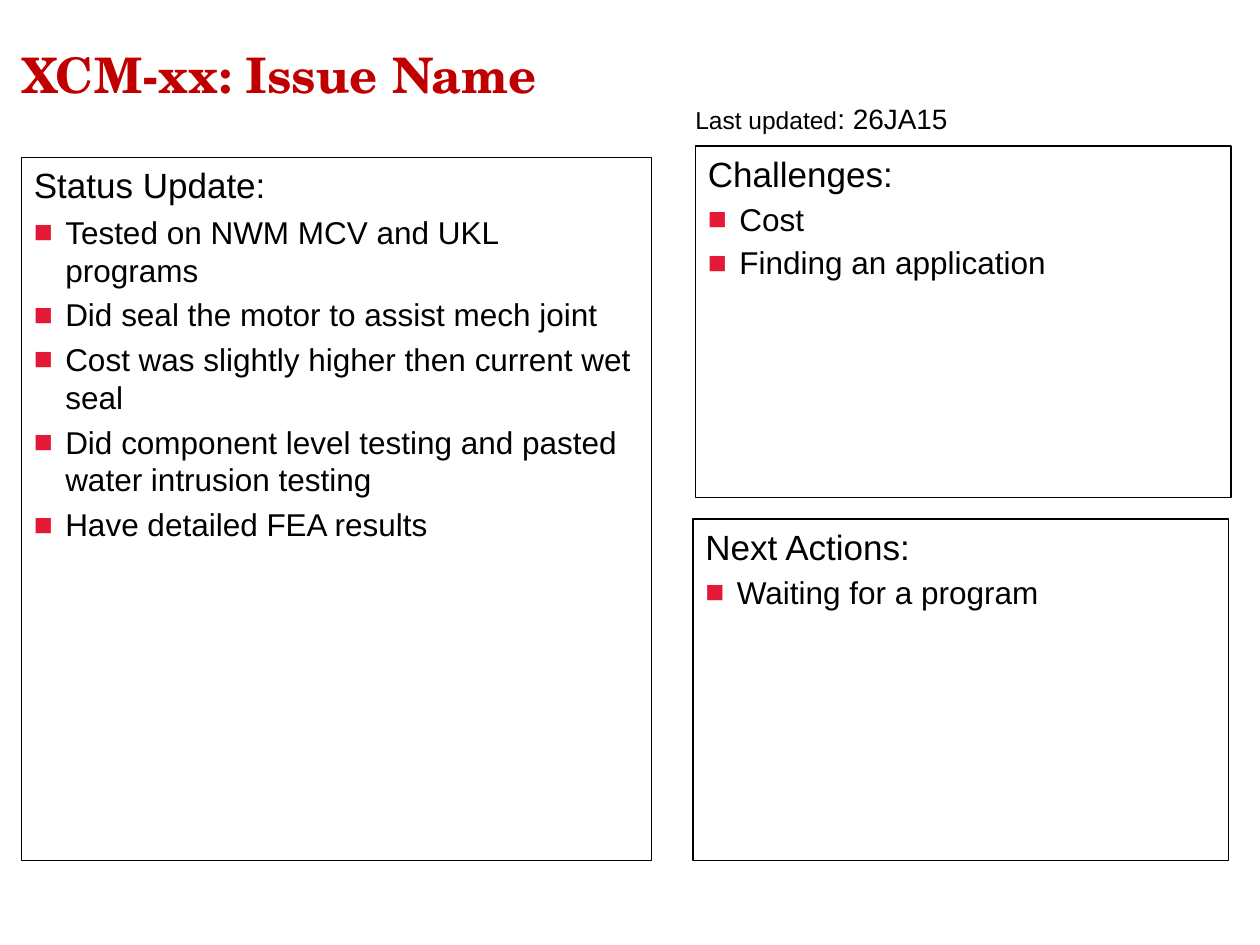
from dataclasses import dataclass

from lxml import etree
from pptx import Presentation
from pptx.dml.color import RGBColor
from pptx.enum.shapes import MSO_SHAPE
from pptx.enum.text import MSO_ANCHOR, PP_ALIGN
from pptx.oxml.ns import qn
from pptx.util import Inches, Pt

BLACK = "000000"
TITLE_RED = "C00000"
BULLET_RED = "E31937"
BULLET_INDENT = Inches(0.25)


@dataclass
class Panel:
    left: float
    top: float
    width: float
    height: float
    heading: str
    bullets: list[str]
    space_before: float


def rgb(value: str) -> RGBColor:
    return RGBColor.from_string(value)


def add_run(paragraph, text: str, size: float, color: str = BLACK,
            font: str = "Arial", bold: bool = False) -> None:
    run = paragraph.add_run()
    run.text = text
    run.font.size = Pt(size)
    run.font.name = font
    run.font.bold = bold
    run.font.color.rgb = rgb(color)


def set_bullet(paragraph) -> None:
    props = paragraph._p.get_or_add_pPr()
    props.set("marL", str(BULLET_INDENT))
    props.set("indent", str(-BULLET_INDENT))
    color = etree.SubElement(props, qn("a:buClr"))
    etree.SubElement(color, qn("a:srgbClr"), val=BULLET_RED)
    etree.SubElement(props, qn("a:buFont"), typeface="Arial")
    etree.SubElement(props, qn("a:buChar"), char="■")


def add_panel(slide, panel: Panel) -> None:
    box = slide.shapes.add_shape(
        MSO_SHAPE.RECTANGLE, Inches(panel.left), Inches(panel.top),
        Inches(panel.width), Inches(panel.height))
    box.shadow.inherit = False
    box.fill.background()
    box.line.color.rgb = rgb(BLACK)
    box.line.width = Pt(0.75)
    frame = box.text_frame
    frame.word_wrap = True
    frame.vertical_anchor = MSO_ANCHOR.TOP
    heading = frame.paragraphs[0]
    heading.alignment = PP_ALIGN.LEFT
    add_run(heading, panel.heading, 20)
    for text in panel.bullets:
        paragraph = frame.add_paragraph()
        paragraph.alignment = PP_ALIGN.LEFT
        paragraph.space_before = Pt(panel.space_before)
        set_bullet(paragraph)
        add_run(paragraph, text, 18)


def add_label(slide, left: float, top: float, width: float, height: float,
              anchor: MSO_ANCHOR):
    frame = slide.shapes.add_textbox(
        Inches(left), Inches(top), Inches(width), Inches(height)).text_frame
    frame.word_wrap = True
    frame.vertical_anchor = anchor
    return frame.paragraphs[0]


PANELS = [
    Panel(0.17, 1.25, 5, 5.58, "Status Update:", [
        "Tested on NWM MCV and UKL programs",
        "Did seal the motor to assist mech joint",
        "Cost was slightly higher then current wet seal",
        "Did component level testing and pasted water intrusion testing",
        "Have detailed FEA results",
    ], 4),
    Panel(5.52, 1.16, 4.25, 2.79, "Challenges:",
          ["Cost", "Finding an application"], 3.2),
    Panel(5.5, 4.12, 4.25, 2.71, "Next Actions:",
          ["Waiting for a program"], 3.2),
]

prs = Presentation()
prs.slide_width = Inches(10)
prs.slide_height = Inches(7.5)
slide = prs.slides.add_slide(prs.slide_layouts[6])

for panel in PANELS:
    add_panel(slide, panel)

updated = add_label(slide, 5.42, 0.76, 4, 0.4, MSO_ANCHOR.TOP)
add_run(updated, "Last updated", 14)
add_run(updated, ": 26JA15", 16)

title = add_label(slide, 0.08, 0.09, 6.67, 1, MSO_ANCHOR.MIDDLE)
add_run(title, "XCM-xx: Issue Name", 28, TITLE_RED, "TeX Gyre Schola", True)

prs.save("out.pptx")
